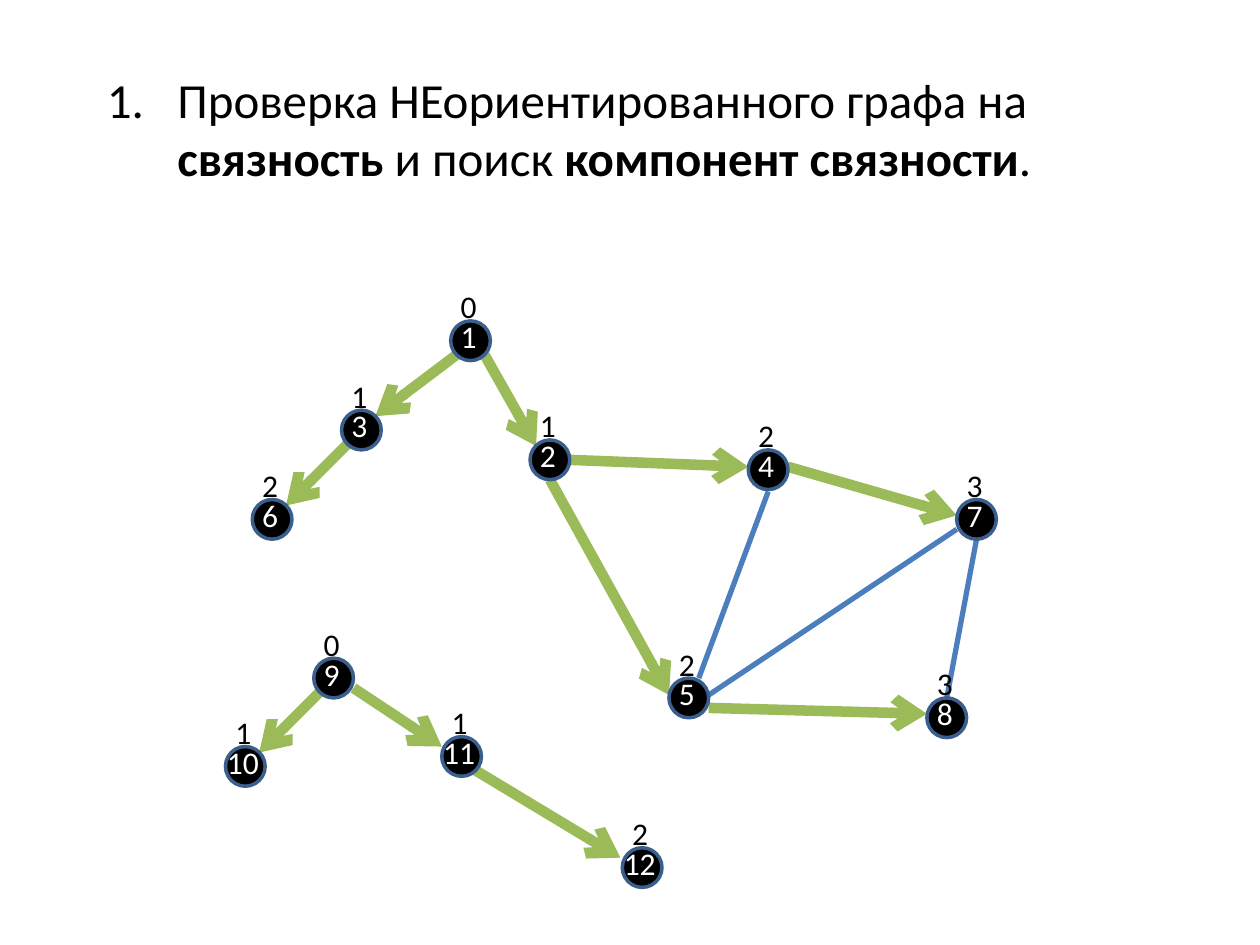
import lxml.etree
import pptx
import pptx.dml.color
import pptx.enum.shapes
import pptx.enum.text
import pptx.oxml
import pptx.oxml.ns
import pptx.util

THEME = {
    "font": "Calibri", "title_size": 28, "label_size": 18,
    "ink": "000000", "number": "FFFFFF", "node": "000000", "outline": "3A5F8C",
    "tree": "9BBB59", "other": "4B7EBC",
    "tree_width": 6, "other_width": 3, "outline_width": 2,
}
rgb = pptx.dml.color.RGBColor.from_string

deck = pptx.Presentation()
deck.slide_width, deck.slide_height = pptx.util.Inches(10), pptx.util.Inches(7.5)
page = deck.slides.add_slide(deck.slide_layouts[6])

# A square grid of 127 columns; vertices are placed relative to vertex 1.
CELL = deck.slide_width / 127
ORIGIN = (47.43, 34.35)
DIAMETER = 4


def cells(*counts):
    return [round(count * CELL) for count in counts]


def add_text(spans, left, top, width, height, *, size, color, wrap=False,
             anchor=pptx.enum.text.MSO_ANCHOR.TOP):
    """Add a text box from (text, bold) spans; lengths are in EMU."""
    box = page.shapes.add_textbox(left, top, width, height)
    frame = box.text_frame
    frame.word_wrap = wrap
    frame.vertical_anchor = anchor
    para = frame.paragraphs[0]
    for text, bold in spans:
        span = para.add_run()
        span.text = text
        span.font.name = THEME["font"]
        span.font.size = pptx.util.Pt(size)
        span.font.bold = bold
        span.font.color.rgb = rgb(color)
    return para


# Title: one numbered paragraph
title = add_text(
    [("Проверка НЕориентированного графа на ", False), ("связность", True),
     (" и поиск ", False), ("компонент связности", True), (".", False)],
    *[round(deck.slide_width * share) for share in (0.075, 0.021, 0.85, 0.161)],
    size=THEME["title_size"], color=THEME["ink"], wrap=True,
    anchor=pptx.enum.text.MSO_ANCHOR.MIDDLE)
properties = title._p.get_or_add_pPr()
indent = pptx.util.Inches(0.56)
properties.set("marL", str(indent))
properties.set("indent", str(-indent))
lxml.etree.SubElement(properties, pptx.oxml.ns.qn("a:buFont"), typeface="+mj-lt")
lxml.etree.SubElement(properties, pptx.oxml.ns.qn("a:buAutoNum"), type="arabicPeriod")

# Vertex number: (column, row, search depth)
vertices = {
    1: (0, 0, 0), 2: (8, 12, 1), 3: (-11, 9, 1), 4: (30, 13, 2),
    5: (22, 36, 2), 6: (-20, 18, 2), 7: (51, 18, 3), 8: (48, 38, 3),
    9: (-13.8, 34, 0), 10: (-22.7, 42.9, 1),
    11: (-0.9, 41.9, 1), 12: (17.3, 53.1, 2),
}
centers = {number: (ORIGIN[0] + column, ORIGIN[1] + row)
           for number, (column, row, depth) in vertices.items()}

# Edge: start vertex, offset from its centre, end vertex, offset, in search tree
edges = [
    (1, (-1.4, 1.4), 3, (1.4, -1.4), True),
    (3, (-1.4, 1.4), 6, (1.4, -1.4), True),
    (1, (1.4, 1.4), 2, (-1.4, -1.4), True),
    (2, (2, 0), 4, (-2, -0.3), True),
    (4, (2, -0.3), 7, (-2, -0.4), True),
    (7, (0, 2), 8, (0, -2), False),
    (2, (0, 2), 5, (-2, -0.3), True),
    (5, (2, 1), 8, (-2, -0.4), True),
    (4, (0, 2.2), 5, (1, -2), False),
    (7, (-2, 1), 5, (2, -0.3), False),
    (9, (-1.4, 1.4), 10, (1.4, -1.4), True),
    (11, (1.4, 1.4), 12, (-2.2, -1), True),
    (9, (2, 1), 11, (-2, -1), True),
]
for start, start_offset, end, end_offset, in_tree in edges:
    ends = [center + offset
            for vertex, shift in ((start, start_offset), (end, end_offset))
            for center, offset in zip(centers[vertex], shift)]
    edge = page.shapes.add_connector(
        pptx.enum.shapes.MSO_CONNECTOR.STRAIGHT, *cells(*ends))
    role = "tree" if in_tree else "other"
    edge.line.color.rgb = rgb(THEME[role])
    edge.line.width = pptx.util.Pt(THEME[role + "_width"])
    if in_tree:
        lxml.etree.SubElement(edge.line._get_or_add_ln(),
                              pptx.oxml.ns.qn("a:tailEnd"), type="arrow")
    lxml.etree.SubElement(edge._element.spPr, pptx.oxml.ns.qn("a:effectLst"))

for x, y in centers.values():
    node = page.shapes.add_shape(
        pptx.enum.shapes.MSO_SHAPE.OVAL,
        *cells(x - DIAMETER / 2, y - DIAMETER / 2, DIAMETER, DIAMETER))
    node.shadow.inherit = False
    node.fill.solid()
    node.fill.fore_color.rgb = rgb(THEME["node"])
    node.line.color.rgb = rgb(THEME["outline"])
    node.line.width = pptx.util.Pt(THEME["outline_width"])

# The depth stands above each vertex, the number inside it.
for number, (column, row, depth) in vertices.items():
    x, y = centers[number]
    for label, rise, color in ((depth, 6, THEME["ink"]), (number, 3, THEME["number"])):
        width = 4.2 if label < 10 else 5.9
        add_text([(str(label), False)],
                 *cells(x - 0.15 - width / 2, y - rise, width, 5.1),
                 size=THEME["label_size"], color=color)

deck.save("out.pptx")
